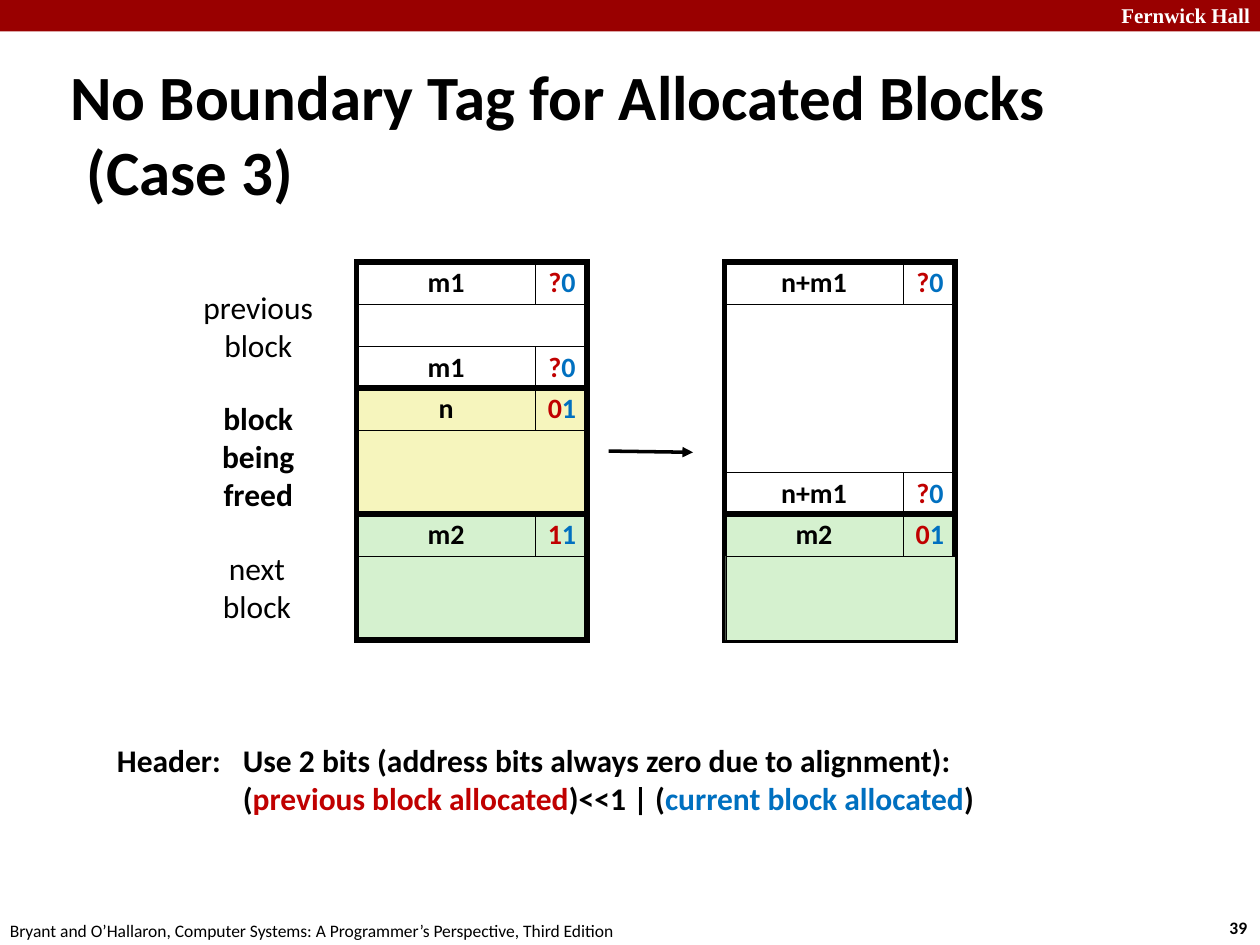
from lxml.etree import SubElement
from pptx import Presentation
from pptx.dml.color import RGBColor
from pptx.enum.shapes import MSO_CONNECTOR, MSO_SHAPE
from pptx.enum.text import MSO_ANCHOR, PP_ALIGN
from pptx.oxml.ns import qn
from pptx.util import Inches, Pt

BLACK = RGBColor(0, 0, 0)
WHITE = RGBColor(255, 255, 255)
BANNER_RED = RGBColor(0x99, 0, 0)
RED = RGBColor(0xC0, 0, 0)
BLUE = RGBColor(0, 0x70, 0xC0)
YELLOW = RGBColor(0xF6, 0xF5, 0xBD)
GREEN = RGBColor(0xD5, 0xF1, 0xCF)

ROW = 1 / 3
TOP = 2.08
SIZE_WIDTH, BITS_WIDTH = 1.42, 0.42
BLOCK_WIDTH = 1.83

TITLE = "No Boundary Tag for Allocated Blocks (Case 3)"
# size, bits, rows, fill, has footer, body covers outline
HEAPS = [
    (2.83, [("m1", "?0", 3, WHITE, True, False),
            ("n", "01", 3, YELLOW, False, False),
            ("m2", "11", 3, GREEN, False, False)]),
    (5.75, [("n+m1", "?0", 6, WHITE, True, False),
            ("m2", "01", 3, GREEN, False, True)]),
]
LABELS = [
    ("previous\vblock", 1.5, 2.24, 1.1, 0.71, False),
    ("block\vbeing\vfreed", 1.66, 3.12, 0.78, 1.01, True),
    ("next\vblock", 1.66, 4.31, 0.76, 0.71, False),
]
HEADER_LINES = [
    [("Header:\tUse 2 bits (address bits always zero due to alignment):", BLACK)],
    [("(", BLACK), ("previous block allocated", RED), (")<<1 | (", BLACK),
     ("current block allocated", BLUE), (")", BLACK)],
]
CREDIT = "Bryant and O’Hallaron, Computer Systems: A Programmer’s Perspective, Third Edition"

presentation = Presentation()
presentation.slide_width, presentation.slide_height = Inches(10), Inches(7.5)
slide = presentation.slides.add_slide(presentation.slide_layouts[6])


def format_runs(paragraph, size, color=BLACK, bold=False, font="Calibri"):
    for run in paragraph.runs:
        run.font.size, run.font.bold, run.font.name = Pt(size), bold, font
        run.font.color.rgb = color


def add_colored_runs(paragraph, pieces, size):
    for text, color in pieces:
        run = paragraph.add_run()
        run.text = text
        run.font.size, run.font.bold, run.font.name = Pt(size), True, "Calibri"
        run.font.color.rgb = color


def set_indent(paragraph, margin, first_line):
    properties = paragraph._p.get_or_add_pPr()
    properties.set("marL", str(Inches(margin)))
    properties.set("indent", str(Inches(first_line)))


def add_text(text, left, top, width, height, size, wrap=False, align=None, **style):
    box = slide.shapes.add_textbox(*map(Inches, (left, top, width, height)))
    box.text_frame.word_wrap = wrap
    paragraph = box.text_frame.paragraphs[0]
    paragraph.text = text
    paragraph.alignment = align
    format_runs(paragraph, size, **style)
    return box


def add_box(left, top, width, height, fill=None, line=0.26, pieces=()):
    shape = slide.shapes.add_shape(MSO_SHAPE.RECTANGLE, *map(Inches, (left, top, width, height)))
    shape.shadow.inherit = False
    if fill is None:
        shape.fill.background()
    else:
        shape.fill.solid()
        shape.fill.fore_color.rgb = fill
    if line:
        shape.line.color.rgb = BLACK
        shape.line.width = Pt(line)
        SubElement(shape.line._get_or_add_ln(), qn("a:miter"), lim="800000")
    else:
        shape.line.fill.background()
    if pieces:
        shape.text_frame.word_wrap = False
        shape.text_frame.vertical_anchor = MSO_ANCHOR.MIDDLE
        paragraph = shape.text_frame.paragraphs[0]
        paragraph.alignment = PP_ALIGN.CENTER
        paragraph.line_spacing = 0.98
        add_colored_runs(paragraph, pieces, 16)


def add_tag(left, top, size, bits, fill):
    add_box(left, top, SIZE_WIDTH, ROW, fill, pieces=[(size, BLACK)])
    add_box(left + SIZE_WIDTH, top, BITS_WIDTH, ROW, fill,
            pieces=[(bits[0], RED), (bits[1], BLUE)])


def add_block(left, top, size, bits, rows, fill, has_footer, body_on_top):
    inset = 0.01 if body_on_top else 0
    body = (left + inset, top + ROW, BLOCK_WIDTH - inset, (rows - 1 - has_footer) * ROW, fill)
    outline = (left, top, BLOCK_WIDTH, rows * ROW, None, 3)
    add_tag(left, top, size, bits, fill)
    if has_footer:
        add_tag(left, top + (rows - 1) * ROW, size, bits, fill)
    for part in (outline, body) if body_on_top else (body, outline):
        add_box(*part)


add_box(0, 0, 10, 0.25, BANNER_RED, line=0)
add_text("Fernwick Hall", 8.02, -0.03, 2, 0.3, 12, wrap=True, align=PP_ALIGN.RIGHT,
         color=WHITE, bold=True, font="Times New Roman")
add_text("39", 9.66, 7.23, 0.37, 0.27, 10, bold=True)
add_text(CREDIT, -0.02, 7.25, 5.08, 0.27, 10)

title = add_text(TITLE, 0.46, 0.74, 9.08, 0.63, 36, wrap=True, bold=True)
title.text_frame.vertical_anchor = MSO_ANCHOR.MIDDLE
set_indent(title.text_frame.paragraphs[0], 0.13, -0.13)

for left, blocks in HEAPS:
    top = TOP
    for block in blocks:
        add_block(left, top, *block)
        top += block[2] * ROW

arrow = slide.shapes.add_connector(MSO_CONNECTOR.STRAIGHT, *map(Inches, (4.83, 3.58, 5.5, 3.59)))
arrow.line.color.rgb = BLACK
arrow.line.width = Pt(2)
SubElement(arrow.line._get_or_add_ln(), qn("a:tailEnd"), type="triangle")
SubElement(arrow._element.spPr, qn("a:effectLst"))

for text, left, top, width, height, bold in LABELS:
    add_text(text, left, top, width, height, 18, align=PP_ALIGN.CENTER, bold=bold)

header = slide.shapes.add_textbox(*map(Inches, (0.83, 5.83, 7.06, 0.71)))
header.text_frame.word_wrap = False
header.text_frame.add_paragraph()
for paragraph, pieces, first_line in zip(header.text_frame.paragraphs, HEADER_LINES, (-1, 0)):
    add_colored_runs(paragraph, pieces, 18)
    set_indent(paragraph, 1, first_line)

presentation.save("out.pptx")
